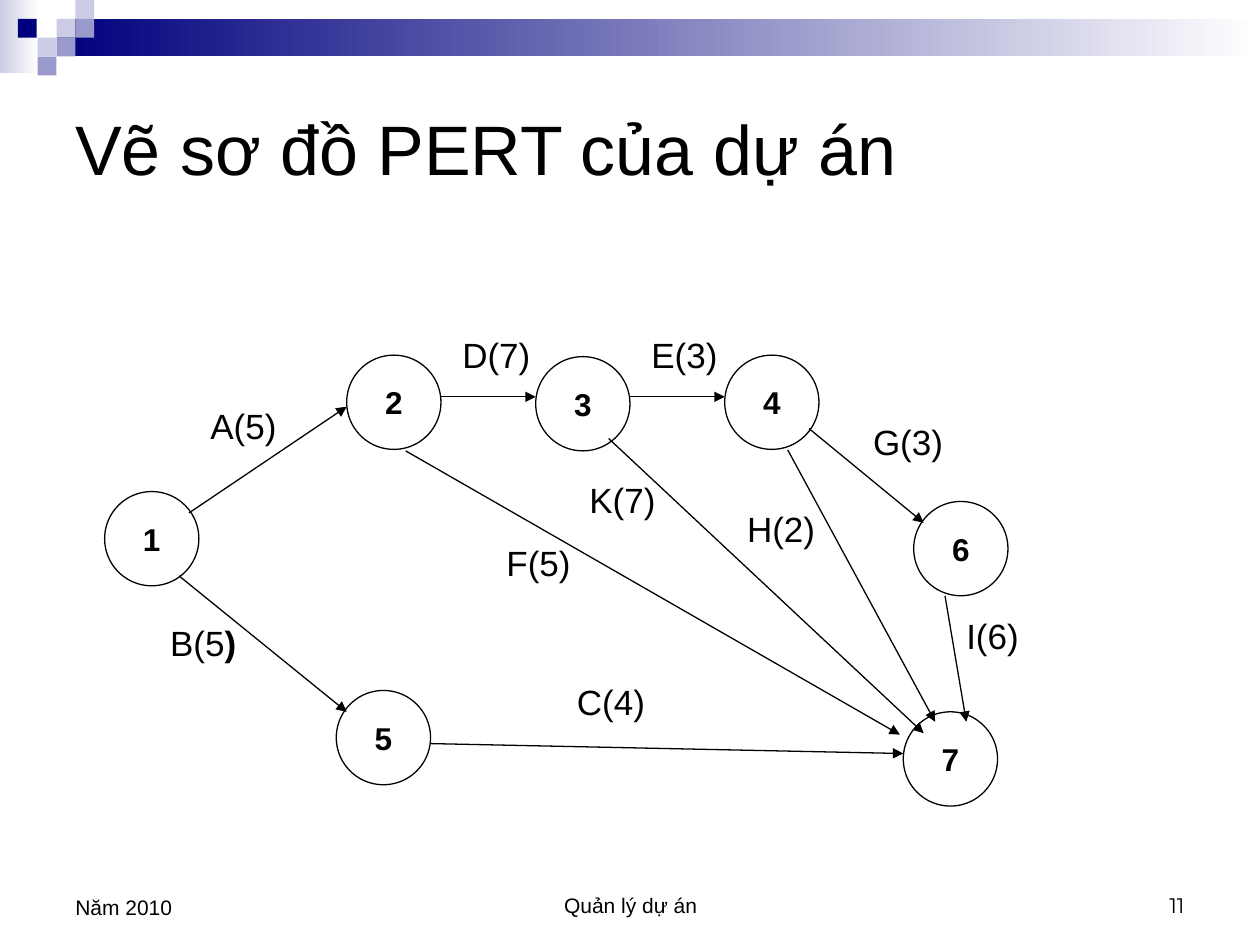
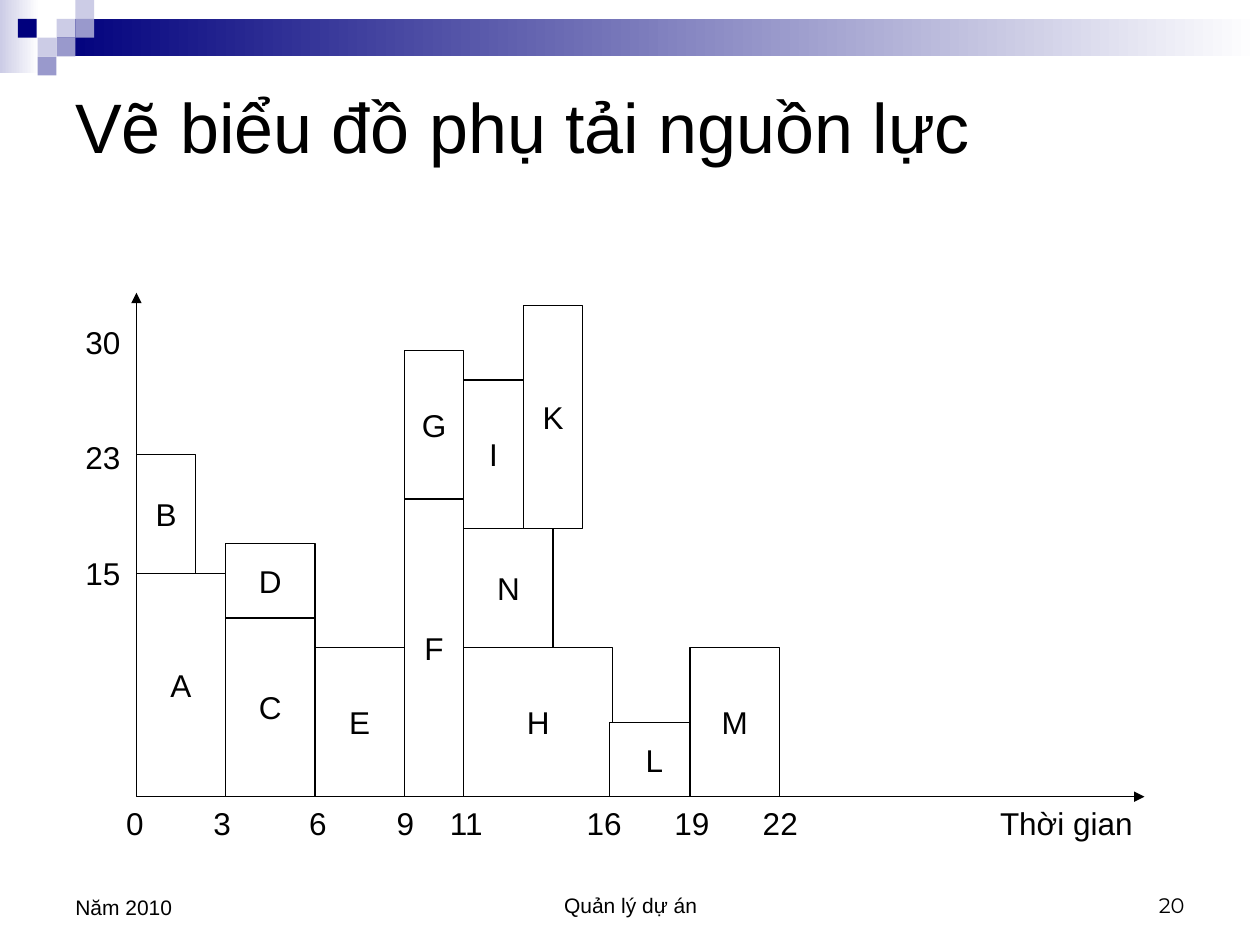
from typing import NamedTuple

from lxml.etree import SubElement
from pptx import Presentation
from pptx.dml.color import RGBColor
from pptx.enum.shapes import MSO_CONNECTOR, MSO_SHAPE
from pptx.enum.text import MSO_ANCHOR, PP_ALIGN
from pptx.oxml.ns import qn
from pptx.util import Cm, Pt

RECT, OVAL = MSO_SHAPE.RECTANGLE, MSO_SHAPE.OVAL
LINE = MSO_CONNECTOR.STRAIGHT
TOP, MID, LOW = MSO_ANCHOR.TOP, MSO_ANCHOR.MIDDLE, MSO_ANCHOR.BOTTOM
LEFT, MIDST, RIGHT = PP_ALIGN.LEFT, PP_ALIGN.CENTER, PP_ALIGN.RIGHT

FONT, NUM_FONT = "Arial", "Montserrat"
BLACK, WHITE = "000000", "FFFFFF"
NAVY, LILAC, MAUVE = "00007D", "CCCCE6", "9999CC"
THIN = Pt(0.75)


class Box(NamedTuple):
    """Left, top, width and height in centimetres."""
    x: float
    y: float
    w: float
    h: float


class Node(NamedTuple):
    name: str
    x: float
    y: float


class Task(NamedTuple):
    """An arrow of the network and the place of its label."""
    label: str
    start: tuple[float, float]
    end: tuple[float, float]
    spot: tuple[float, float]
    tail: str = ""


class Load(NamedTuple):
    """A block of work: start, stacked-on level, duration, resources."""
    name: str
    start: float
    base: float
    span: float
    need: float


# Header squares: column and row on the grid, colour
CELL = 0.38
SQUARES = [(3, 1, LILAC), (4, 0, LILAC), (4, 1, MAUVE), (2, 2, LILAC),
           (0.95, 1, NAVY), (3, 2, MAUVE), (2, 3, MAUVE)]

# PERT network
DIAM = 1.9
NODES = [Node("1", 2.11, 9.91), Node("2", 6.99, 7.16), Node("3", 10.8, 7.19),
         Node("4", 14.61, 7.16), Node("5", 6.78, 13.92),
         Node("6", 18.42, 10.11), Node("7", 18.21, 14.35)]
TASKS = [
    Task("A(5)", (3.81, 10.34), (6.99, 8.2), (3.99, 8.03)),
    Task("B(5", (3.61, 11.61), (6.99, 14.35), (3.18, 12.4), ")"),
    Task("C(4)", (8.69, 14.99), (18.21, 15.19), (11.38, 13.59)),
    Task("D(7)", (8.89, 8), (10.8, 8), (9.07, 6.6)),
    Task("E(3)", (12.7, 8), (14.61, 8), (12.88, 6.6)),
    Task("F(5)", (8.18, 9.09), (18.14, 14.81), (9.96, 10.8)),
    Task("G(3)", (16.31, 8.64), (18.62, 10.54), (17.35, 8.36)),
    Task("H(2)", (15.88, 9.07), (18.85, 14.55), (14.81, 10.11)),
    Task("I(6)", (19.05, 12.01), (19.48, 14.55), (19.23, 12.27)),
    Task("K(7)", (12.27, 8.84), (18.62, 14.78), (11.63, 9.53)),
]

# Load diagram: origin, centimetres per time unit and per resource
ZERO_X, ZERO_Y = 2.75, 16.06
STEP_X, STEP_Y = 0.6, 0.3
LOADS = [
    Load("D", 3, 12, 3, 5), Load("B", 0, 15, 2, 8), Load("C", 3, 0, 3, 12),
    Load("F", 9, 0, 2, 20), Load("E", 6, 0, 3, 10), Load("H", 11, 0, 5, 10),
    Load("L", 15.9, 0, 3, 5), Load("I", 11, 18, 2, 10),
    Load("N", 11, 10, 3, 8), Load("G", 9, 20, 2, 10),
    Load("K", 13, 18, 2, 15), Load("A", 0, 0, 3, 15),
    Load("M", 18.6, 0, 3, 10),
]
TIMES = {"0": 0.36, "3": 2.12, "6": 4.05, "9": 5.81, "11": 7.04,
         "16": 9.82, "19": 11.59, "22": 13.37}
AXIS_NAME, AXIS_TAB = "Thời gian", 17.8


def tint(code: str) -> RGBColor:
    return RGBColor.from_string(code)


def place(box: Box) -> list[Cm]:
    return [Cm(side) for side in box]


def write(frame, words: str, *, size: float = 18, bold: bool = False,
          font: str = FONT, align=LEFT, anchor=TOP, wrap: bool = True,
          gap: float = 0, tail: str = "", tabs: tuple = ()) -> None:
    """Fill a frame, one paragraph a line; tail is a bold ending."""
    frame.word_wrap, frame.vertical_anchor = wrap, anchor
    for i, line in enumerate(words.split("\n")):
        para = frame.add_paragraph() if i else frame.paragraphs[0]
        para.alignment = align
        if i and gap:
            para.space_before = Pt(gap)
        if tabs:
            stops = SubElement(para._p.get_or_add_pPr(), qn("a:tabLst"))
            for pos, kind in tabs:
                SubElement(stops, qn("a:tab"), pos=str(Cm(pos)), algn=kind)
        for part, heavy in ((line, bold), (tail, True)):
            if part:
                run = para.add_run()
                run.text = part
                run.font.name, run.font.size = font, Pt(size)
                run.font.bold = heavy
                run.font.color.rgb = tint(BLACK)


def label(slide, box: Box, words: str, **style) -> None:
    write(slide.shapes.add_textbox(*place(box)).text_frame, words, **style)


def shape(slide, kind, box: Box, fill: str, fade: str = "", edge: str = ""):
    """Draw a filled shape; fade is the colour at the right end."""
    item = slide.shapes.add_shape(kind, *place(box))
    item.shadow.inherit = False
    if fade:
        item.fill.gradient()
        item.fill.gradient_angle = 180
        for stop, code in zip(item.fill.gradient_stops, (fade, fill)):
            stop.color.rgb = tint(code)
    else:
        item.fill.solid()
        item.fill.fore_color.rgb = tint(fill)
    if edge:
        item.line.color.rgb, item.line.width = tint(edge), THIN
    else:
        item.line.fill.background()
    return item


def block(slide, kind, box: Box, name: str, bold: bool = False) -> None:
    item = shape(slide, kind, box, WHITE, edge=BLACK)
    write(item.text_frame, name, bold=bold, align=MIDST, anchor=MID,
          wrap=False)


def arrow(slide, start: tuple[float, float], end: tuple[float, float]) -> None:
    ends = [Cm(v) for v in (*start, *end)]
    item = slide.shapes.add_connector(LINE, *ends)
    item.line.color.rgb, item.line.width = tint(BLACK), THIN
    props = item._element.spPr
    SubElement(props.find(qn("a:ln")), qn("a:tailEnd"), type="triangle")
    SubElement(props, qn("a:effectLst"))


def start_slide(deck, title: str, box: Box, number: str):
    """Add a blank slide with header band, title and footer."""
    slide = deck.slides.add_slide(deck.slide_layouts[6])
    shape(slide, RECT, Box(0, 0, 0.79, 1.47), LILAC, fade=WHITE)
    shape(slide, RECT, Box(1.14, 0.38, 24.26, 0.76), NAVY, fade=WHITE)
    for col, row, code in SQUARES:
        shape(slide, RECT, Box(col * CELL, row * CELL, CELL, CELL), code)
    label(slide, box, title, size=40, anchor=MID)
    foot = {"size": 12, "anchor": LOW}
    label(slide, Box(8.69, 17.35, 8.05, 1.27), "Quản lý dự án",
          align=MIDST, **foot)
    label(slide, Box(18.21, 17.35, 5.92, 1.27), number,
          align=RIGHT, font=NUM_FONT, **foot)
    label(slide, Box(1.27, 17.35, 5.92, 1.32), "Năm 2010", **foot)
    return slide


def pert_slide(deck) -> None:
    slide = start_slide(deck, "Vẽ sơ đồ PERT của dự án",
                        Box(1.27, 1.07, 22.86, 3.81), "11")
    for node in NODES:
        block(slide, OVAL, Box(node.x, node.y, DIAM, DIAM), node.name, True)
    for task in TASKS:
        arrow(slide, task.start, task.end)
        label(slide, Box(*task.spot, 2.4, 1.12), task.label, size=20,
              tail=task.tail)


def load_slide(deck) -> None:
    slide = start_slide(deck, "Vẽ biểu đồ phụ tải nguồn lực",
                        Box(1.27, 1.47, 22.86, 2.11), "20")
    # Axes
    zero = (ZERO_X, ZERO_Y)
    arrow(slide, zero, (ZERO_X, 5.9))
    arrow(slide, zero, (23.07, ZERO_Y))
    # Work blocks
    for load in LOADS:
        top = ZERO_Y - (load.base + load.need) * STEP_Y
        box = Box(ZERO_X + load.start * STEP_X, top,
                  load.span * STEP_X, load.need * STEP_Y)
        block(slide, RECT, box, load.name)
    # Axis labels
    stops = [(pos, "ctr") for pos in TIMES.values()] + [(AXIS_TAB, "l")]
    row = "".join("\t" + word for word in (*TIMES, AXIS_NAME))
    label(slide, Box(2.11, 16.08, 21.8, 1.03), row, tabs=tuple(stops))
    label(slide, Box(1.47, 6.38, 1.8, 5.59), "30\n23\n15", gap=44.5)


def main() -> None:
    deck = Presentation()
    deck.slide_width, deck.slide_height = Cm(25.4), Cm(19.05)
    pert_slide(deck)
    load_slide(deck)
    deck.save("out.pptx")


if __name__ == "__main__":
    main()
